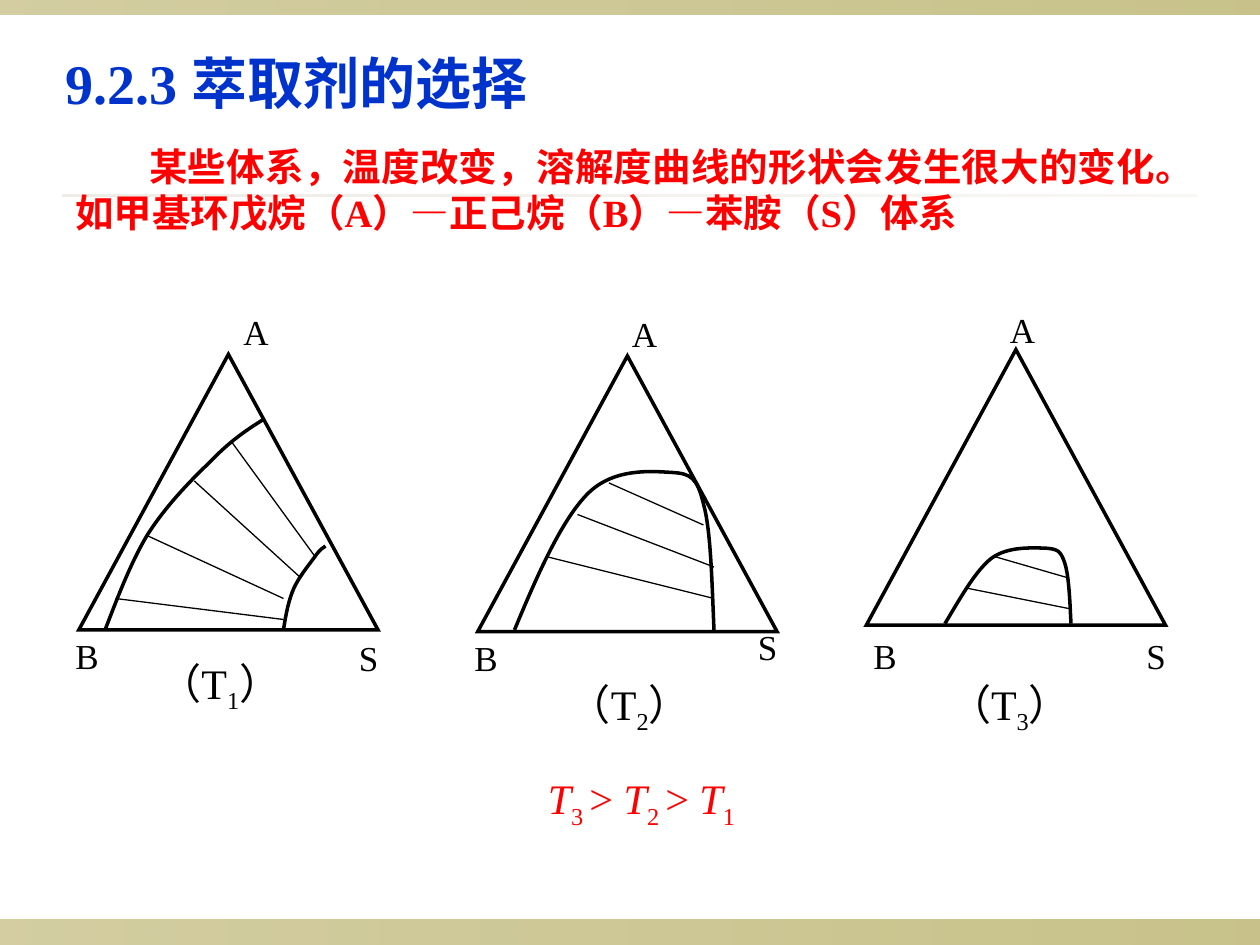
from dataclasses import dataclass

from lxml import etree
from pptx import Presentation
from pptx import util as u
from pptx.dml.color import RGBColor
from pptx.enum import shapes, text
from pptx.oxml.ns import qn

Point = tuple[float, float]
Box = tuple[float, float, float, float]


@dataclass(frozen=True)
class Theme:
    font: str = "Times New Roman"
    title: str = "0033CC"
    accent: str = "FF0000"
    ink: str = "000000"
    bar: str = "918415"
    rule: str = "DCD9CC"
    title_size: int = 32
    body_size: int = 22
    corner_size: int = 20
    caption_size: int = 24
    outline: float = 2
    tie: float = 0.75


@dataclass(frozen=True)
class Run:
    text: str
    sub: bool = False
    italic: bool = False


@dataclass(frozen=True)
class Band:
    box: Box
    color: str
    alphas: tuple[int, int]


@dataclass(frozen=True)
class Diagram:
    apex_box: Point
    corners: dict[str, Point]
    caption: Point
    index: str
    curves: list[list[Point]]
    ties: list[tuple[Point, Point]]


THEME = Theme()
COLS, ROWS = 120, 90
WIDTH, HEIGHT = u.Inches(10), u.Inches(7.5)
TRIANGLE = (28.5, 26.25)
CORNER = (8, 5.3)
CAPTION = (16, 6.7)

BANDS = [
    Band((0, 87.6, COLS, 2.4), THEME.bar, (40, 50)),
    Band((0, 0, COLS, 1.4), THEME.bar, (40, 50)),
    Band((6, 18.5, 108, 0.25), THEME.rule, (50, 20)),
]

DIAGRAMS = [
    Diagram(
        (7.5, 33.75), {"A": (22, 29), "B": (6, 59.8), "S": (33, 60)}, (14, 62), "1",
        [[(10, 60), (11.2, 56.9), (12.4, 53.7), (14, 51), (15.7, 48.3),
          (18.1, 45.8), (20, 44), (21.8, 42.1), (23.4, 41), (25, 40)],
         [(27, 60), (27.2, 58.6), (27.5, 57.1), (28, 56), (28.5, 54.9),
          (29.5, 53.7), (30, 53), (30.5, 52.3), (30.7, 52.2), (31, 52)]],
        [((22, 42), (30, 53)), ((18.5, 45.8), (28.5, 54.9)),
         ((14, 51), (27, 57)), ((11, 57), (27, 59))],
    ),
    Diagram(
        (45.5, 33.9), {"A": (59, 29.2), "B": (44, 60), "S": (71, 59)}, (53, 64), "2",
        [[(49, 60), (51.2, 54.7), (53.5, 49.5), (56, 47), (58.5, 44.5),
          (62.2, 44.9), (64, 45), (65.8, 45.1), (66.4, 45.5), (67, 48),
          (67.7, 50.5), (67.8, 55.2), (68, 60)]],
        [((58, 46), (67, 50)), ((55, 49), (68, 54)), ((52, 53), (68, 57))],
    ),
    Diagram(
        (82.5, 33.3), {"A": (95, 28.8), "B": (82, 59.8), "S": (108, 59.8)}, (89.2, 64), "3",
        [[(90, 59.4), (91.5, 56.9), (92.9, 54.4), (94.4, 53.2), (96, 52),
          (98.3, 52.2), (99.5, 52.2), (100.7, 52.3), (101, 52.4), (101.4, 53.6),
          (101.8, 54.8), (101.9, 57.1), (102, 59.4)]],
        [((94.7, 53), (101.6, 55)), ((92, 56), (102, 58))],
    ),
]


def x(col: float) -> int:
    return round(WIDTH * col / COLS)


def y(row: float) -> int:
    return round(HEIGHT * row / ROWS)


def place(box: Box) -> tuple[int, int, int, int]:
    left, top, width, height = box
    return x(left), y(top), x(width), y(height)


def write(sp, runs: list[Run], size: int, color: str, bold: bool = False):
    tf = sp.text_frame
    tf.word_wrap = True
    tf.auto_size = text.MSO_AUTO_SIZE.SHAPE_TO_FIT_TEXT
    tf.vertical_anchor = text.MSO_ANCHOR.TOP
    p = tf.paragraphs[0]
    p.alignment = text.PP_ALIGN.LEFT
    p.space_before = u.Pt(0)
    for run in runs:
        r = p.add_run()
        r.text = run.text
        if run.italic:
            r.font.italic = True
        if run.sub:
            r._r.get_or_add_rPr().set("baseline", "-25000")
    p.font.name = THEME.font
    p.font.size = u.Pt(size)
    p.font.bold = bold
    p.font.color.rgb = RGBColor.from_string(color)
    return p


def fill_placeholder(sp, box: Box, content: str, size: int, color: str):
    sp.left, sp.top, sp.width, sp.height = place(box)
    return write(sp, [Run(content)], size, color, bold=True)


def add_label(parent, box: Box, runs: list[Run], size: int, color: str) -> None:
    write(parent.add_textbox(*place(box)), runs, size, color)


def stroke(sp, width: float) -> None:
    sp.line.color.rgb = RGBColor.from_string(THEME.ink)
    sp.line.width = u.Pt(width)


def add_band(s, band: Band, order: int) -> None:
    sp = s.shapes.add_shape(shapes.MSO_SHAPE.RECTANGLE, *place(band.box))
    sp.shadow.inherit = False
    sp.line.fill.background()
    sp.fill.gradient()
    sp.fill.gradient_angle = 0
    for stop, position, alpha in zip(sp.fill.gradient_stops, (0, 1), band.alphas):
        stop.position = position
        stop.color.rgb = RGBColor.from_string(band.color)
    for color, alpha in zip(sp.element.spPr.iter(qn("a:srgbClr")), band.alphas):
        etree.SubElement(color, qn("a:alpha"), val=str(alpha * 1000))
    s.shapes.element.insert(2 + order, sp.element)


def add_curve(parent, points: list[Point]) -> None:
    start, *rest = [(x(col), y(row)) for col, row in points]
    builder = parent.build_freeform(*start)
    builder.add_line_segments(rest, close=False)
    sp = builder.convert_to_shape()
    segments = list(sp.element.spPr.iter(qn("a:lnTo")))
    for i in range(0, len(segments), 3):
        bezier = etree.Element(qn("a:cubicBezTo"))
        segments[i].addprevious(bezier)
        for segment in segments[i:i + 3]:
            bezier.append(segment[0])
            segment.getparent().remove(segment)
    sp.shadow.inherit = False
    sp.fill.background()
    stroke(sp, THEME.outline)


def add_tie(parent, start: Point, end: Point) -> None:
    line = parent.add_connector(
        shapes.MSO_CONNECTOR.STRAIGHT, x(start[0]), y(start[1]), x(end[0]), y(end[1]))
    stroke(line, THEME.tie)
    etree.SubElement(line.element.spPr, qn("a:effectLst"))


def add_diagram(s, diagram: Diagram) -> None:
    parent = s.shapes.add_group_shape().shapes
    sp = parent.add_shape(
        shapes.MSO_SHAPE.ISOSCELES_TRIANGLE, *place(diagram.apex_box + TRIANGLE))
    sp.shadow.inherit = False
    sp.fill.background()
    stroke(sp, THEME.outline)
    etree.SubElement(sp.element.spPr.find(qn("a:ln")), qn("a:miter"), lim="800000")
    for name, at in diagram.corners.items():
        add_label(parent, at + CORNER, [Run(name)], THEME.corner_size, THEME.ink)
    for curve in diagram.curves:
        add_curve(parent, curve)
    for start, end in diagram.ties:
        add_tie(parent, start, end)
    caption = [Run("（T"), Run(diagram.index, sub=True), Run("）")]
    add_label(parent, diagram.caption + CAPTION, caption, THEME.caption_size, THEME.ink)


def main() -> None:
    prs = Presentation()
    prs.slide_width, prs.slide_height = WIDTH, HEIGHT
    s = prs.slides.add_slide(prs.slide_layouts[1])
    for order, band in enumerate(BANDS):
        add_band(s, band, order)
    fill_placeholder(s.shapes.title, (5, 4, 72, 7.7), "9.2.3 萃取剂的选择",
                     THEME.title_size, THEME.title)
    p = fill_placeholder(
        s.placeholders[1], (6, 13, 109, 10.1),
        "某些体系，温度改变，溶解度曲线的形状会发生很大的变化。"
        "如甲基环戊烷（A）—正己烷（B）—苯胺（S）体系",
        THEME.body_size, THEME.accent)
    p.alignment = text.PP_ALIGN.JUSTIFY
    pPr = p._p.get_or_add_pPr()
    pPr.set("marL", "0")
    pPr.set("indent", str(x(7)))
    pPr.find(qn("a:defRPr")).addprevious(etree.Element(qn("a:buNone")))
    for diagram in DIAGRAMS:
        add_diagram(s, diagram)
    ranking = [Run("T", italic=True), Run("3 ", sub=True), Run("> "),
               Run("T", italic=True), Run("2 ", sub=True), Run("> "),
               Run("T", italic=True), Run("1", sub=True)]
    add_label(s.shapes, (51, 73, 29, 6.7), ranking, THEME.caption_size, THEME.accent)
    prs.save("out.pptx")


if __name__ == "__main__":
    main()
